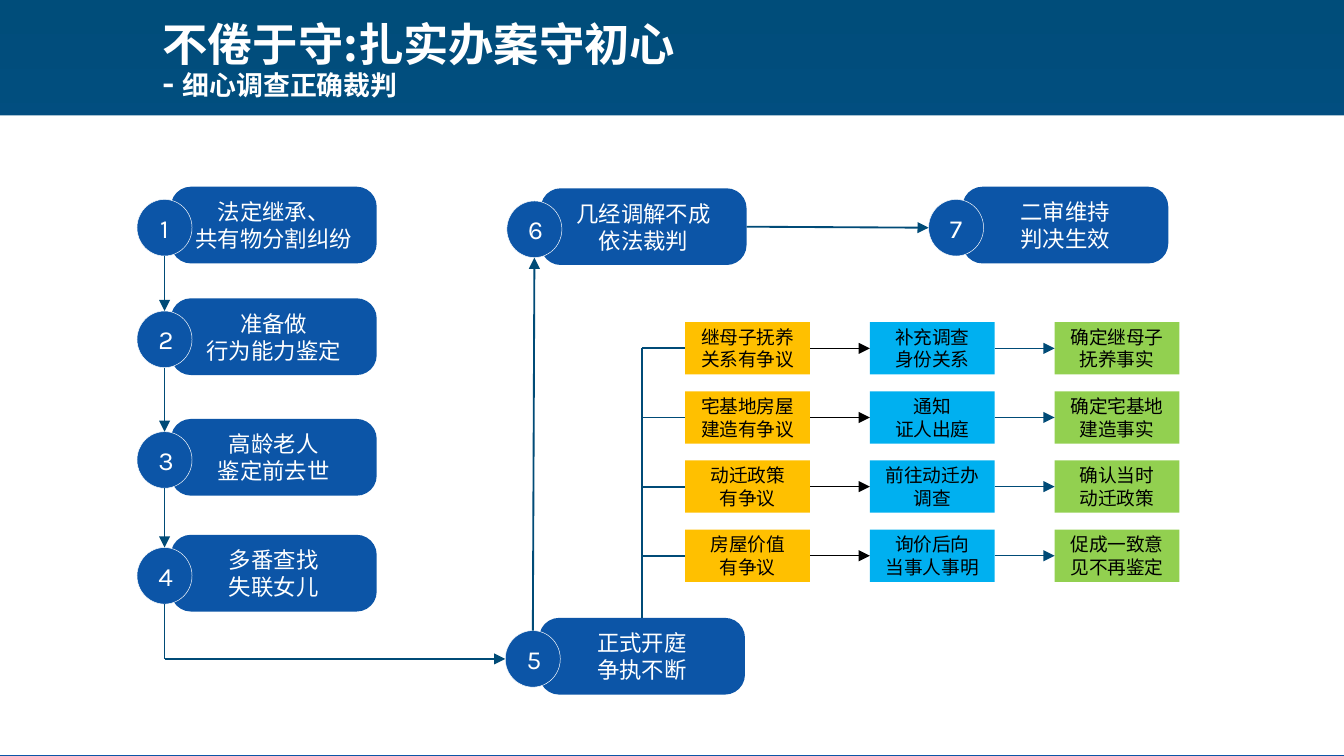
from dataclasses import dataclass
from lxml.etree import SubElement
from pptx import Presentation
from pptx.dml.color import RGBColor
from pptx.enum.shapes import MSO_CONNECTOR, MSO_SHAPE
from pptx.enum.text import MSO_ANCHOR, MSO_AUTO_SIZE, PP_ALIGN
from pptx.oxml.ns import qn
from pptx.util import Cm, Pt


@dataclass(frozen=True)
class Theme:
    cjk: str = "Noto Sans CJK SC"
    latin: str = "Karla"
    white: str = "FFFFFF"
    black: str = "000000"
    header: str = "004D7A"
    blue: str = "0C55A7"
    line: str = "004B77"
    matrix: tuple = ("FFC000", "00B0F0", "92D050")
    title_pt: float = 24.3
    dash_pt: float = 18
    subtitle_pt: float = 14.4
    step_pt: float = 12
    number_pt: float = 14
    cell_pt: float = 10
    flow_line_pt: float = 1
    cell_line_pt: float = 0.75
    ring_pt: float = 0.25


T = Theme()

STEPS = [
    (2.59, 3.53, "法定继承、\n共有物分割纠纷"),
    (2.59, 5.64, "准备做\n行为能力鉴定"),
    (2.59, 7.92, "高龄老人\n鉴定前去世"),
    (2.59, 10.11, "多番查找\n失联女儿"),
    (9.55, 11.68, "正式开庭\n争执不断"),
    (9.58, 3.56, "几经调解不成\n依法裁判"),
    (17.55, 3.53, "二审维持\n判决生效"),
]

DISPUTES = [
    ("继母子抚养关系有争议", "补充调查\n身份关系", "确定继母子抚养事实"),
    ("宅基地房屋建造有争议", "通知\n证人出庭", "确定宅基地建造事实"),
    ("动迁政策\n有争议", "前往动迁办调查", "确认当时\n动迁政策"),
    ("房屋价值\n有争议", "询价后向\n当事人事明", "促成一致意见不再鉴定"),
]


def rgb(value):
    return RGBColor.from_string(value)


def style_run(r, size, color, font=T.cjk, bold=False):
    r.font.size = Pt(size)
    r.font.bold = bold
    r.font.color.rgb = rgb(color)
    r.font.name = font
    SubElement(r.font._element, qn("a:ea")).set("typeface", font)


def add_block(s, kind, box, fill, text="", size=T.cell_pt, color=T.black, font=T.cjk):
    sp = s.shapes.add_shape(kind, *(Cm(v) for v in box))
    sp.shadow.inherit = False
    sp.fill.solid()
    sp.fill.fore_color.rgb = rgb(fill)
    sp.line.fill.background()
    tf = sp.text_frame
    tf.word_wrap = True
    tf.vertical_anchor = MSO_ANCHOR.MIDDLE
    tf.margin_left = tf.margin_right = tf.margin_top = tf.margin_bottom = Cm(0.25)
    tf.text = text
    for p in tf.paragraphs:
        p.alignment = PP_ALIGN.CENTER
        for r in p.runs:
            style_run(r, size, color, font)
    return sp


def add_line(s, start, end, color=T.line, width=T.flow_line_pt, arrow=True):
    c = s.shapes.add_connector(MSO_CONNECTOR.STRAIGHT, *start, *end)
    c.line.color.rgb = rgb(color)
    c.line.width = Pt(width)
    if arrow:
        SubElement(c.line._get_or_add_ln(), qn("a:tailEnd")).set("type", "triangle")
    SubElement(c._element.spPr, qn("a:effectLst"))
    return c


def side(sp, index):
    mid_x, mid_y = sp.left + sp.width // 2, sp.top + sp.height // 2
    return [
        (mid_x, sp.top),
        (sp.left, mid_y),
        (mid_x, sp.top + sp.height),
        (sp.left + sp.width, mid_y),
    ][index]


def add_backdrop(s, prs, header_h):
    fill = s.background.fill
    fill.gradient()
    fill.gradient_angle = 270
    for stop, color in zip(fill.gradient_stops, (T.header, T.blue)):
        stop.color.rgb = rgb(color)
    panel_h = prs.slide_height.cm - header_h - 0.02
    add_block(s, MSO_SHAPE.RECTANGLE, (0, header_h, prs.slide_width.cm, panel_h), T.white)


def add_title(s, box):
    title = s.shapes.title
    title.left, title.top, title.width, title.height = (Cm(v) for v in box)
    tf = title.text_frame
    tf.auto_size = MSO_AUTO_SIZE.NONE
    tf.word_wrap = True
    tf.vertical_anchor = MSO_ANCHOR.TOP
    tf.margin_left = tf.margin_right = tf.margin_bottom = 0
    tf.margin_top = Cm(0.09)
    p = tf.paragraphs[0]
    p.alignment = PP_ALIGN.LEFT
    p.line_spacing = 0.8
    parts = [
        ("不倦于守:扎实办案守初心", T.title_pt),
        ("- ", T.dash_pt),
        ("细心调查正确裁判", T.subtitle_pt),
    ]
    for i, (text, size) in enumerate(parts):
        if i == 1:
            p.add_line_break()
        r = p.add_run()
        r.text = text
        style_run(r, size, T.white, bold=True)


def add_step(s, number, left, top, text):
    card = add_block(s, MSO_SHAPE.ROUNDED_RECTANGLE, (left + 0.64, top, 3.89, 1.45),
                     T.blue, text, T.step_pt, T.white)
    card.adjustments[0] = 0.26
    badge = add_block(s, MSO_SHAPE.FLOWCHART_CONNECTOR, (left, top + 0.24, 1.04, 1.07),
                      T.blue, str(number), T.number_pt, T.white, T.latin)
    badge.line.color.rgb = rgb(T.white)
    badge.line.width = Pt(T.ring_pt)
    return card, badge


def add_flow(s):
    cards, badges = zip(*(add_step(s, n, *step) for n, step in enumerate(STEPS, 1)))
    for upper, lower in zip(badges[:3], badges[1:4]):
        add_line(s, side(upper, 2), side(lower, 0)).end_connect(lower, 0)
    down, target = side(badges[3], 2), side(badges[4], 1)
    corner = (down[0], target[1])
    add_line(s, down, corner, arrow=False)
    add_line(s, corner, target)
    add_line(s, side(badges[4], 0), side(badges[5], 2)).begin_connect(badges[4], 0)
    add_line(s, side(cards[5], 3), side(badges[6], 1)).begin_connect(cards[5], 3)
    return cards[4]


def add_disputes(s, box, hearing):
    left, top, width, height = box
    cell_w, cell_h = 2.36, 0.99
    step_x = (width - cell_w) / (len(T.matrix) - 1)
    step_y = (height - cell_h) / (len(DISPUTES) - 1)
    trunk_x = side(hearing, 0)[0]
    for row, texts in enumerate(DISPUTES):
        cells = [
            add_block(s, MSO_SHAPE.RECTANGLE,
                      (left + col * step_x, top + row * step_y, cell_w, cell_h), fill, text)
            for col, (fill, text) in enumerate(zip(T.matrix, texts))
        ]
        entry = side(cells[0], 1)
        joint = (trunk_x, entry[1])
        if row == 0:
            add_line(s, side(hearing, 0), joint, arrow=False).begin_connect(hearing, 0)
        add_line(s, joint, entry, arrow=False).end_connect(cells[0], 1)
        for a, b, color in zip(cells, cells[1:], (T.black, T.line)):
            c = add_line(s, side(a, 3), side(b, 1), color, T.cell_line_pt)
            c.begin_connect(a, 3)
            c.end_connect(b, 1)


def main():
    prs = Presentation()
    prs.slide_width, prs.slide_height = Cm(25.4), Cm(14.29)
    s = prs.slides.add_slide(prs.slide_layouts[5])
    add_backdrop(s, prs, 2.18)
    add_title(s, (3.07, 0.41, 21.34, 1.65))
    hearing = add_flow(s)
    add_disputes(s, (12.95, 6.09, 9.34, 4.91), hearing)
    prs.save("out.pptx")


if __name__ == "__main__":
    main()
